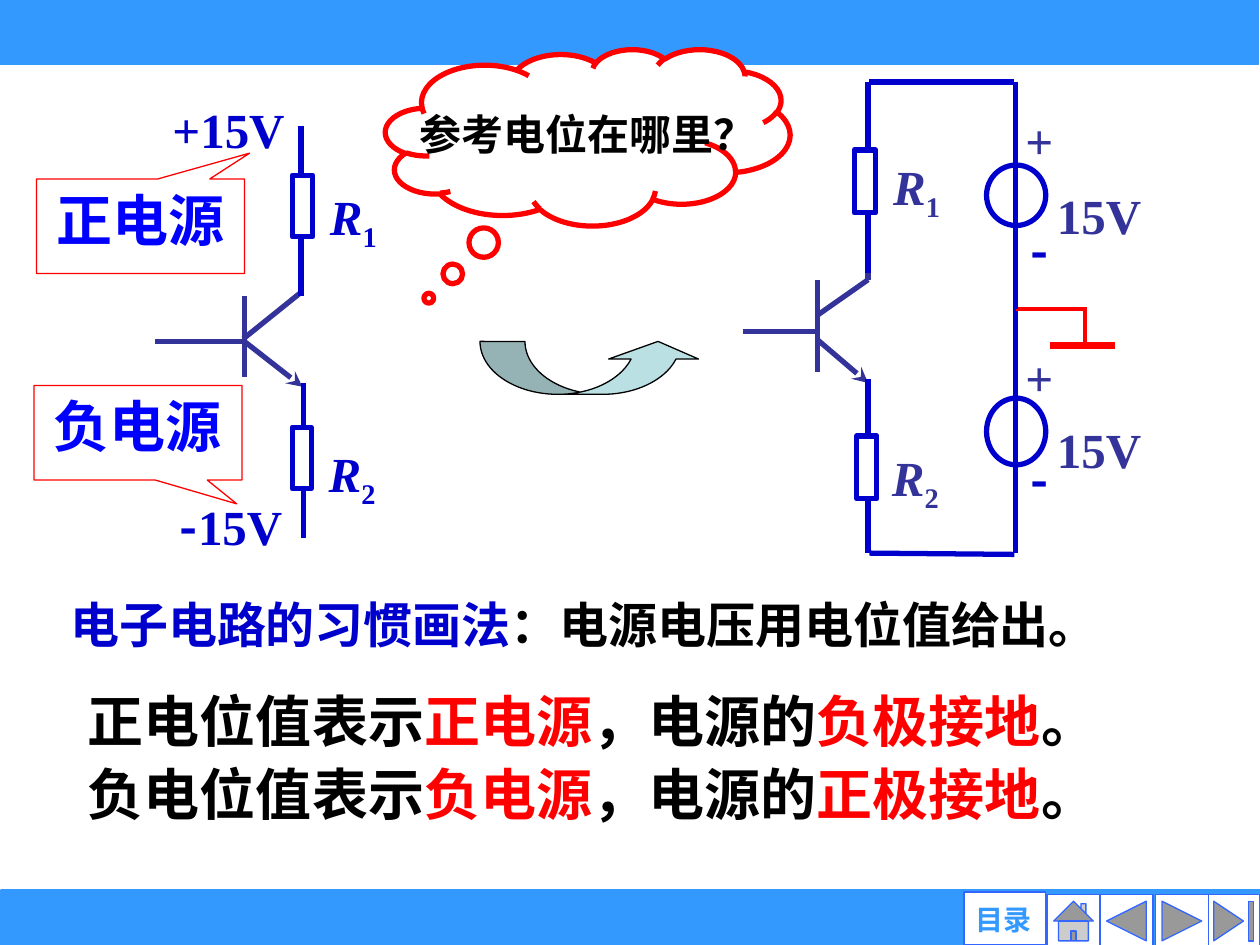
from lxml import etree
from pptx import Presentation
from pptx import util as u
from pptx.dml.color import RGBColor
from pptx.enum import shapes, text
from pptx.oxml import ns

SKY = RGBColor(0x33, 0x99, 0xFF)
BUTTON_EDGE = RGBColor(0x33, 0x66, 0xFF)
NAVY = RGBColor(0x33, 0x33, 0x99)
BLUE = RGBColor(0x00, 0x00, 0xCC)
BRIGHT_BLUE = RGBColor(0x00, 0x00, 0xFF)
RED = RGBColor(0xFF, 0x00, 0x00)
BLACK = RGBColor(0x00, 0x00, 0x00)
WHITE = RGBColor(0xFF, 0xFF, 0xFF)
PALE_TEAL = RGBColor(0xBB, 0xE0, 0xE3)

SERIF = "Times New Roman"
CHINESE = "Noto Sans CJK SC"
SHAPE = shapes.MSO_SHAPE
CENTER = text.PP_ALIGN.CENTER
MIDDLE = text.MSO_ANCHOR.MIDDLE


def add_spans(frame, spans, align=None, **base):
    """Fill the first paragraph with (wording, format changes) pairs."""
    para = frame.paragraphs[0]
    para.alignment = align
    for wording, changes in spans:
        span = para.add_run()
        span.text = wording
        values = {"name": SERIF, "bold": True, **base, **changes}
        span.font.color.rgb = values.pop("color")
        offset = values.pop("baseline", None)
        for name, value in values.items():
            setattr(span.font, name, value)
        props = span.font._element
        if offset:
            props.set("baseline", str(offset))
        etree.SubElement(props, ns.qn("a:ea"), typeface=CHINESE)


def add_text(page, box, spans, wrap=False, **base):
    label = page.shapes.add_textbox(*map(u.Inches, box))
    label.text_frame.word_wrap = wrap
    label.text_frame.auto_size = text.MSO_AUTO_SIZE.SHAPE_TO_FIT_TEXT
    add_spans(label.text_frame, spans, **base)
    return label


def add_shape(page, kind, box, fill, edge, width, adjust=()):
    shape = page.shapes.add_shape(kind, *map(u.Inches, box))
    shape.shadow.inherit = False
    if fill is None:
        shape.fill.background()
    else:
        shape.fill.solid()
        shape.fill.fore_color.rgb = fill
    shape.line.color.rgb = edge
    shape.line.width = u.Pt(width)
    for index, value in enumerate(adjust):
        shape.adjustments[index] = value
    return shape


def add_wire(page, origin, ends, color, width=3, arrow=False):
    """Draw a line whose ends (x1, y1, x2, y2) are measured from origin."""
    left, top = origin
    x1, y1, x2, y2 = ends
    wire = page.shapes.add_connector(
        shapes.MSO_CONNECTOR.STRAIGHT,
        *map(u.Inches, (left + x1, top + y1, left + x2, top + y2)))
    wire.line.color.rgb = color
    wire.line.width = u.Pt(width)
    if arrow:
        etree.SubElement(wire.line._get_or_add_ln(), ns.qn("a:tailEnd"), type="stealth")
    etree.SubElement(wire._element.spPr, ns.qn("a:effectLst"))


def draw_bands(page):
    add_shape(page, SHAPE.RECTANGLE, (0.01, 7.08, 9.99, 0.42), SKY, SKY, 3)
    add_shape(page, SHAPE.RECTANGLE, (0, -0.01, 9.99, 0.52), SKY, SKY, 0)


def draw_navigation(page, left, top):
    buttons = (
        (SHAPE.ACTION_BUTTON_END, 1.93),
        (SHAPE.ACTION_BUTTON_FORWARD_OR_NEXT, 1.52),
        (SHAPE.ACTION_BUTTON_BACK_OR_PREVIOUS, 1.08),
        (SHAPE.ACTION_BUTTON_HOME, 0.66),
    )
    for kind, across in buttons:
        add_shape(page, kind, (left + across, top + 0.02, 0.42, 0.42), WHITE, BUTTON_EDGE, 0.75)
    add_shape(page, SHAPE.ACTION_BUTTON_CUSTOM, (left, top, 0.65, 0.42), WHITE, BUTTON_EDGE, 0.75)
    contents = add_text(page, (left, top + 0.08, 0.63, 0.27), [("目录", {})], wrap=True,
                        align=CENTER, name="Arial", size=u.Pt(16), color=SKY)
    frame = contents.text_frame
    frame.vertical_anchor = MIDDLE
    for side in ("left", "top", "right", "bottom"):
        setattr(frame, f"margin_{side}", 0)


def draw_resistor(page, box, label_at, number, color):
    add_shape(page, SHAPE.RECTANGLE, box, WHITE, BLUE, 3)
    add_text(page, (*label_at, 0.59, 0.57),
             [("R", {"italic": True}), (number, {"baseline": -25000})],
             size=u.Pt(28), color=color)


def draw_transistor(page, origin, base, bar, collector, emitter):
    for ends in (base, bar, collector):
        add_wire(page, origin, ends, NAVY)
    add_wire(page, origin, emitter, NAVY, arrow=True)


def draw_potential_circuit(page, left, top):
    origin = (left, top)
    draw_transistor(page, origin, (0.71, 1.97, 0, 1.97), (0.71, 1.61, 0.71, 2.25),
                    (0.7, 1.95, 1.16, 1.58), (0.71, 1.97, 1.17, 2.33))
    add_wire(page, origin, (1.16, 0.26, 1.16, 1.61), BLUE)
    draw_resistor(page, (left + 1.09, top + 0.65, 0.16, 0.49), (left + 1.29, top + 0.69), "1", BLUE)
    add_wire(page, origin, (1.18, 2.3, 1.18, 3.53), BLUE)
    draw_resistor(page, (left + 1.09, top + 2.65, 0.15, 0.49), (left + 1.28, top + 2.73), "2", BLUE)
    add_text(page, (left + 0.04, top, 1.09, 0.57), [("+15V", {})], size=u.Pt(28), color=BLUE)
    add_text(page, (left + 0.1, top + 3.15, 1.07, 0.57),
             [("-", {"name": CHINESE}), ("15V", {})], size=u.Pt(28), color=BLUE)


def draw_source_circuit(page, left, top):
    origin = (left, top)
    draw_transistor(page, origin, (0.59, 1.98, 0, 1.98), (0.59, 1.57, 0.59, 2.3),
                    (0.59, 1.85, 0.99, 1.57), (0.58, 2.04, 0.99, 2.39))
    add_wire(page, origin, (0.99, 1.57, 0.99, 1.24), NAVY)
    add_wire(page, origin, (0.99, 0, 0.99, 1.52), BLUE)
    draw_resistor(page, (left + 0.88, top + 0.54, 0.17, 0.5), (left + 1.09, top + 0.54), "1", NAVY)
    add_wire(page, origin, (0.99, 2.36, 0.99, 3.74), BLUE)
    draw_resistor(page, (left + 0.9, top + 2.81, 0.16, 0.5), (left + 1.08, top + 2.85), "2", NAVY)
    draw_source(page, left + 1.93, top + 2.06, (0.45, 0.53), 0.57, 0.81)
    add_wire(page, origin, (2.16, 1.8, 2.16, 3.74), BLUE)
    add_wire(page, origin, (1, 3.74, 2.15, 3.75), BLUE)
    draw_ground(page, left + 2.16, top + 1.8)
    draw_source(page, left + 1.93, top + 0.18, (0.66 - 0.18, 0.48), 0.59, 0.87)
    add_wire(page, origin, (1, 0, 2.15, 0), BLUE)
    add_wire(page, origin, (2.16, 0, 2.16, 1.8), BLUE)


def draw_source(page, left, top, circle, value_down, minus_down):
    """Draw a 15 V source; circle is its (distance down, height)."""
    down, height = circle
    add_shape(page, SHAPE.OVAL, (left, top + down, 0.47, height), WHITE, BLUE, 3)
    add_text(page, (left + 0.46, top + value_down, 0.87, 0.57), [("15V", {})],
             size=u.Pt(28), color=NAVY)
    add_text(page, (left + 0.21, top, 0.42, 0.57), [("+", {})], size=u.Pt(28), color=NAVY)
    add_text(page, (left + 0.25, top + minus_down, 0.4, 0.57), [("-", {})],
             name=CHINESE, size=u.Pt(28), color=BLUE)


def draw_ground(page, left, top):
    for ends, width in (((0.27, 0.29, 0.79, 0.29), 4), ((0.55, 0.29, 0.55, 0), 2.5),
                        ((0, 0, 0.57, 0), 2.5)):
        add_wire(page, (left, top), ends, RED, width)


def draw_question(page, box):
    cloud = add_shape(page, SHAPE.CLOUD_CALLOUT, box, WHITE, RED, 3, (-0.393, 0.912))
    frame = cloud.text_frame
    frame.word_wrap = False
    frame.vertical_anchor = MIDDLE
    frame.margin_left = u.Inches(0.32)
    add_spans(frame, [("参考电位在哪里？", {})], CENTER, size=u.Pt(24), color=BLACK)


def draw_turn_arrow(page, box):
    arrow = add_shape(page, SHAPE.CURVED_DOWN_ARROW, box, PALE_TEAL, BLACK, 0.75,
                      (0.85, 1.7, 0.333))
    arrow._element.spPr.xfrm.set("flipV", "1")


def draw_supply_callout(page, box, wording, tip):
    callout = add_shape(page, SHAPE.RECTANGULAR_CALLOUT, box, None, RED, 0.75, tip)
    callout.text_frame.vertical_anchor = text.MSO_ANCHOR.TOP
    add_spans(callout.text_frame, [(wording, {})], CENTER, size=u.Pt(32), color=BRIGHT_BLUE)


def draw_conclusions(page, left, top):
    add_text(page, (left, top, 9.4, 0.57),
             [("电子电路的习惯画法", {"color": BLUE}), ("：电源电压用电位值给出。", {})],
             wrap=True, size=u.Pt(28), color=BLACK)
    red = {"color": RED}
    for down, sign, pole in ((0.73, "正", "负"), (1.31, "负", "正")):
        spans = [(f"{sign}电位值表示", {}), (f"{sign}电源", red), ("，电源的", {}),
                 (f"{pole}极接地", red), ("。", {})]
        add_text(page, (left + 0.14, top + down, 8.6, 0.63), spans,
                 wrap=True, size=u.Pt(32), color=BLACK)


def main():
    deck = Presentation()
    deck.slide_width, deck.slide_height = u.Inches(10), u.Inches(7.5)
    page = deck.slides.add_slide(deck.slide_layouts[6])
    draw_bands(page)
    draw_navigation(page, 7.65, 7.08)
    draw_turn_arrow(page, (3.81, 2.71, 1.77, 0.42))
    draw_potential_circuit(page, 1.23, 0.74)
    draw_question(page, (3.06, 0.39, 3.21, 1.4))
    draw_source_circuit(page, 5.9, 0.65)
    draw_supply_callout(page, (0.29, 1.42, 1.65, 0.75), "正电源", (0.525, -0.773))
    draw_supply_callout(page, (0.27, 3.06, 1.65, 0.75), "负电源", (0.475, 0.752))
    draw_conclusions(page, 0.46, 4.67)
    deck.save("out.pptx")


if __name__ == "__main__":
    main()
